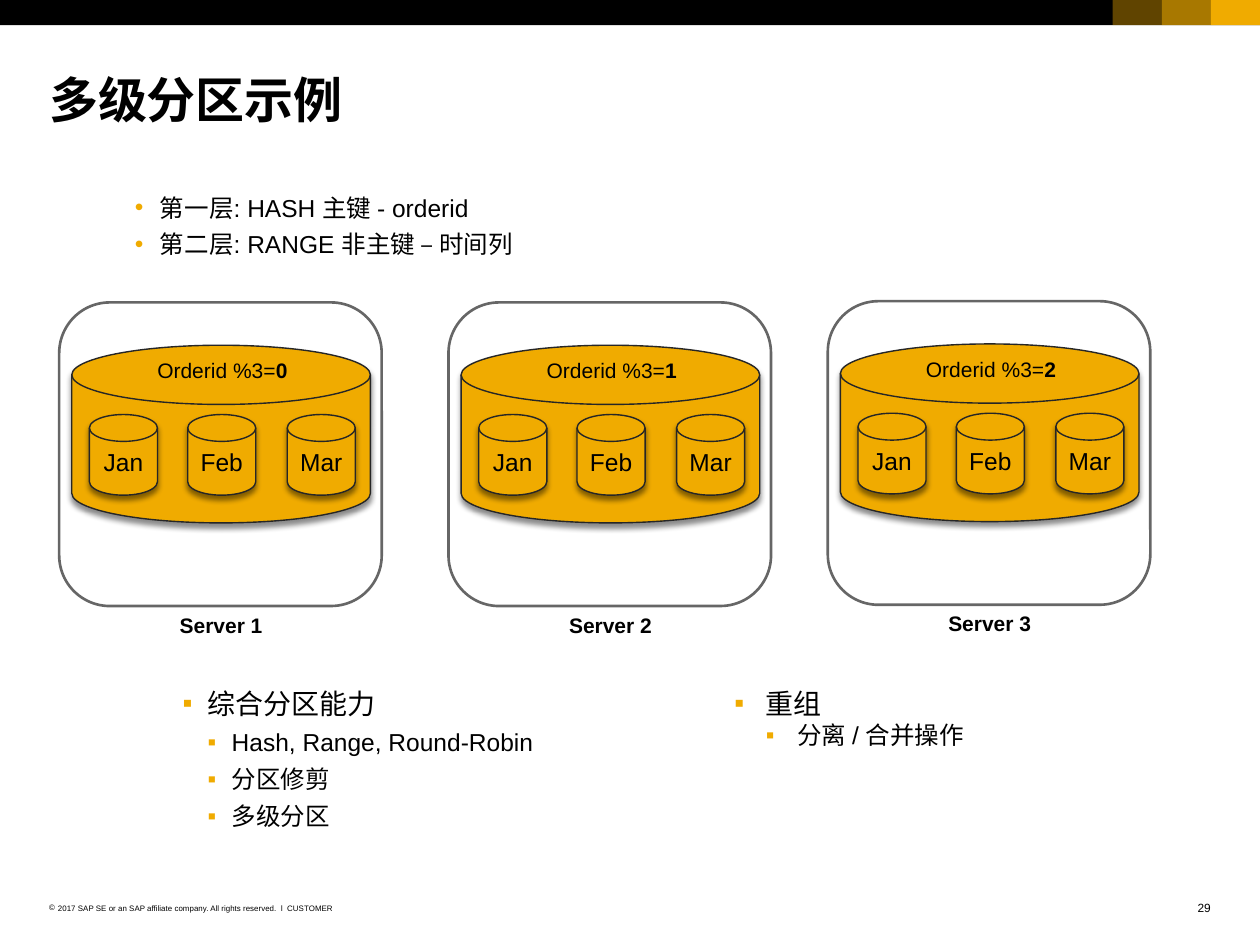
from lxml.etree import SubElement as Sub
from pptx import Presentation
from pptx.dml.color import RGBColor
from pptx.enum.shapes import MSO_SHAPE as Kind
from pptx.enum.text import MSO_ANCHOR as Anchor, PP_ALIGN as Align
from pptx.oxml.ns import qn
from pptx.util import Inches, Pt

BLACK = RGBColor(0x00, 0x00, 0x00)
GOLD = RGBColor(0xF0, 0xAB, 0x00)
DARK = RGBColor(0x26, 0x26, 0x26)
GRAY = RGBColor(0x66, 0x66, 0x66)


def write(frame, text, size=14, bold=False, tail="", align=None,
          mark="", tint=GOLD, left=0, hang=0, before=0, level=0):
    para = frame.paragraphs[0]
    if para.runs:
        para = frame.add_paragraph()
        para.space_before = Pt(before)
    para.level = level
    para.alignment = align
    if mark:
        props = para._p.get_or_add_pPr()
        props.set("marL", str(Inches(left)))
        props.set("indent", str(Inches(-hang)))
        Sub(Sub(props, qn("a:buClr")), qn("a:srgbClr"), val=str(tint))
        Sub(props, qn("a:buFont"), typeface="Arial")
        Sub(props, qn("a:buChar"), char=mark)
    for part, heavy in ((text, bold), (tail, True)):
        if part:
            run = para.add_run()
            run.text = part
            run.font.name = "Arial"
            run.font.size = Pt(size)
            run.font.bold = heavy
            run.font.color.rgb = BLACK


class Deck:
    """Holds the style and the current slide."""

    def __init__(self):
        self.show = Presentation()
        self.show.slide_width = Inches(10)
        self.show.slide_height = Inches(7.5)
        self.slide = self.show.slides.add_slide(self.show.slide_layouts[6])

    def shape(self, kind, box, fill=None, line=None, width=1):
        item = self.slide.shapes.add_shape(kind, *map(Inches, box))
        item.shadow.inherit = False
        if fill is None:
            item.fill.background()
        else:
            item.fill.solid()
            item.fill.fore_color.rgb = fill
        if line is None:
            item.line.fill.background()
        else:
            item.line.color.rgb = line
            item.line.width = Pt(width)
        return item

    def bar(self, left, width, fill, alpha=100):
        item = self.shape(Kind.RECTANGLE, (left, 0, width, 0.2), fill)
        if alpha < 100:
            color = item.element.spPr.find(".//" + qn("a:srgbClr"))
            Sub(color, qn("a:alpha"), val=str(alpha * 1000))

    def disk(self, box, text=""):
        item = self.shape(Kind.FLOWCHART_MAGNETIC_DISK, box, GOLD, DARK, 0.79)
        glow = Sub(item.element.spPr.find(qn("a:effectLst")),
                   qn("a:outerShdw"), blurRad=str(Pt(3)), dist=str(Pt(2.4)),
                   dir="5400000", algn="t", rotWithShape="0")
        Sub(Sub(glow, qn("a:srgbClr"), val=str(BLACK)),
            qn("a:alpha"), val="45000")
        if text:
            frame = item.text_frame
            frame.word_wrap = False
            frame.vertical_anchor = Anchor.MIDDLE
            frame.margin_top = frame.margin_bottom = Inches(0.08)
            write(frame, text, align=Align.CENTER)

    def box(self, box, pad=True):
        frame = self.slide.shapes.add_textbox(*map(Inches, box)).text_frame
        frame.word_wrap = True
        if not pad:
            frame.margin_left = frame.margin_right = 0
            frame.margin_top = frame.margin_bottom = 0
        return frame

    def server(self, left, top, index):
        self.disk((left + 0.1, top + 0.34, 2.37, 1.41))
        self.shape(Kind.ROUNDED_RECTANGLE, (left, top, 2.56, 2.41),
                   line=GRAY, width=1.5)
        write(self.box((left + 0.23, top + 2.41, 2.11, 0.3)),
              f"Server {index + 1}", size=12, bold=True, align=Align.CENTER)
        write(self.box((left + 0.24, top + 0.39, 2.11, 0.3)),
              "Orderid %3=", size=12, tail=str(index), align=Align.CENTER)
        for step, month in ((0.24, "Jan"), (1.02, "Feb"), (1.81, "Mar")):
            self.disk((left + step, top + 0.89, 0.54, 0.64), month)


def main():
    deck = Deck()
    deck.bar(0, 10, BLACK)
    for count, alpha in ((1, 100), (2, 70), (3, 40)):
        deck.bar(10 - 0.39 * count, 0.39, GOLD, alpha)

    write(deck.box((0.39, 0.55, 9.21, 0.47), pad=False),
          "多级分区示例", size=28, bold=True)

    tiers = deck.box((0.97, 1.53, 6.87, 0.74), pad=False)
    for text in ("第一层: HASH 主键 - orderid", "第二层: RANGE 非主键 – 时间列"):
        write(tiers, text, mark="•", left=0.3, hang=0.2, before=4.2, level=1)

    for index, (left, top) in enumerate(((0.47, 2.4), (3.56, 2.4), (6.57, 2.39))):
        deck.server(left, top, index)

    skills = deck.box((1.25, 5.4, 4.19, 1.54))
    write(skills, "综合分区能力", size=16, mark="▪", left=0.3, hang=0.2, level=1)
    for text in ("Hash, Range, Round-Robin", "分区修剪", "多级分区"):
        write(skills, text, mark="▪", left=0.49, hang=0.19, before=4.2, level=2)

    moves = deck.box((5.73, 5.4, 3.18, 0.61))
    write(moves, "重组", size=16, mark="▪", left=0.25, hang=0.25, level=1)
    write(moves, "分离 / 合并操作", mark="▪", left=0.5, hang=0.25, level=1)

    write(deck.box((0.39, 7.17, 1.87, 0.08), pad=False),
          "2017 SAP SE or an SAP affiliate company. All rights reserved.  ǀ",
          size=4.5, mark="©", tint=BLACK, left=0.07, hang=0.07)
    write(deck.box((2.28, 7.17, 0.5, 0.08), pad=False),
          "CUSTOMER", size=4.5)
    write(deck.box((9.41, 7.15, 0.2, 0.11), pad=False),
          "29", size=6.8, align=Align.RIGHT)
    deck.show.save("out.pptx")


if __name__ == "__main__":
    main()
